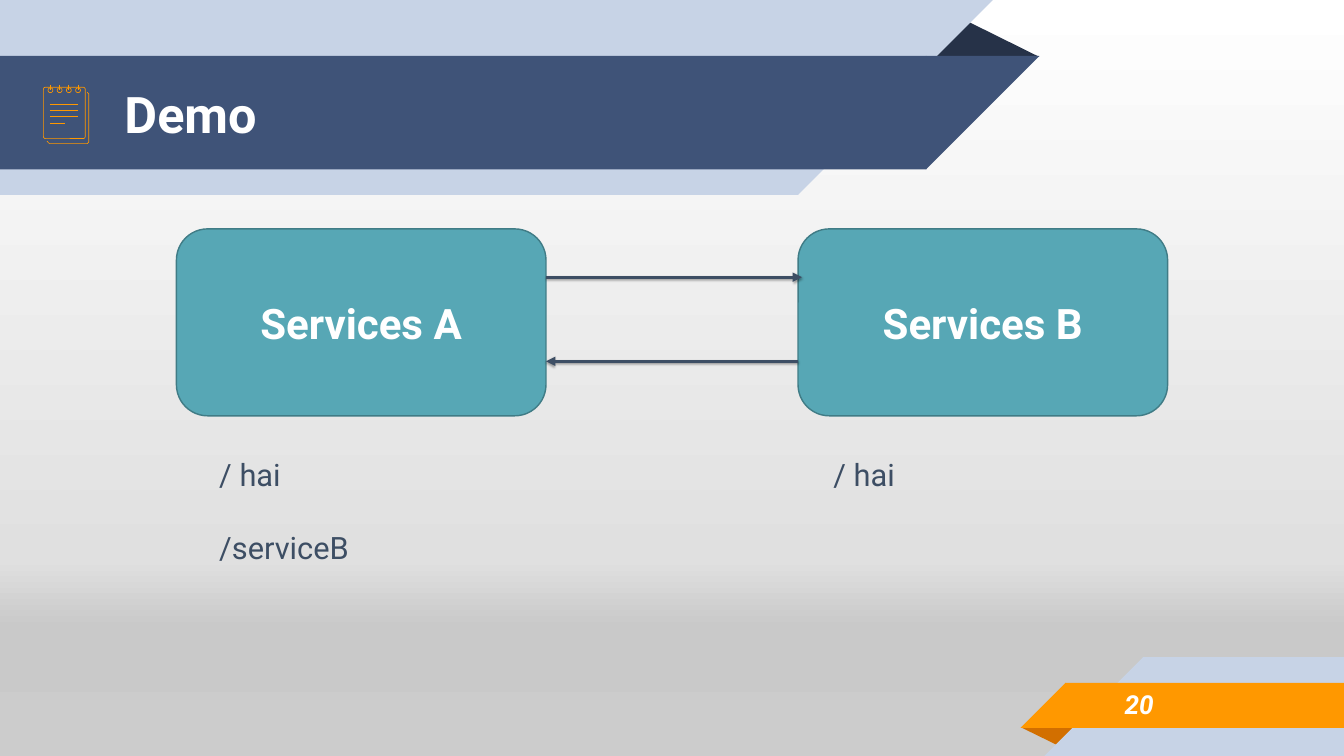
from dataclasses import dataclass
from lxml.etree import SubElement
from pptx import Presentation
from pptx.dml.color import RGBColor
from pptx.enum.shapes import MSO_CONNECTOR, MSO_SHAPE
from pptx.enum.text import MSO_ANCHOR, MSO_AUTO_SIZE, PP_ALIGN
from pptx.oxml.ns import qn
from pptx.util import Pt


@dataclass(frozen=True)
class Theme:
    font: str = "Roboto"
    white: str = "FFFFFF"
    navy: str = "3F5378"
    navy_fold: str = "263248"
    pale: str = "C7D3E6"
    orange: str = "FF9800"
    orange_fold: str = "D26F00"
    teal: str = "57A7B5"
    teal_line: str = "407C86"
    slate: str = "3D4E64"
    title: float = 72
    service: float = 60
    route: float = 44
    number: float = 37.3
    icon_line: float = 0.96
    arrow_line: float = 4.5


T = Theme()
WIDTH, HEIGHT = 1919.5, 1080
TITLE = "Demo"
PAGE = "20"
SERVICES = [
    ("Services A", 252, 306, ["/ hai", "/serviceB"], 220),
    ("Services B", 1139.8, 1183, ["/ hai"], 97),
]
BOX_TOP, BOX_W, BOX_H = 327, 527.8, 267
ARROWS = [(779.8, 1145.5, 396), (1139.8, 779.8, 516.2)]
BACKGROUND = [(0, "FFFFFF"), (74, "E0E0E0"), (83, "C9C9C9"), (100, "CCCCCC")]
HEADER_BANDS = [(0, 1140, 278.6, T.pale), (80, 1323, 162, T.navy)]
FOOTER_BANDS = [(1632.2, 938.9, 141.1, T.pale), (1521.4, 975.6, 64.1, T.orange)]
BACK_PAGE = [(67, 201.6), (70.6, 205.2), (124.6, 205.2),
             (126.7, 203), (126.7, 134), (124.6, 131.8)]


def rgb(value):
    return RGBColor.from_string(value)


def add_shape(s, kind, x, y, w, h, fill=None, line=None, width=1):
    sp = s.shapes.add_shape(kind, Pt(x), Pt(y), Pt(w), Pt(h))
    paint(sp, fill, line, width)
    return sp


def paint(sp, fill, line, width):
    sp.shadow.inherit = False
    if fill:
        sp.fill.solid()
        sp.fill.fore_color.rgb = rgb(fill)
    else:
        sp.fill.background()
    if line:
        sp.line.color.rgb = rgb(line)
        sp.line.width = Pt(width)
    else:
        sp.line.fill.background()


def add_line(s, x1, y1, x2, y2, color, width):
    cx = s.shapes.add_connector(MSO_CONNECTOR.STRAIGHT, Pt(x1), Pt(y1), Pt(x2), Pt(y2))
    cx.line.color.rgb = rgb(color)
    cx.line.width = Pt(width)
    effects = SubElement(cx.element.spPr, qn("a:effectLst"))
    return cx, effects


def write(sp, lines, size, color, align=PP_ALIGN.LEFT, spacing=None, **style):
    tf = sp.text_frame
    tf.word_wrap = True
    tf.text = "\n".join(lines)
    for p in tf.paragraphs:
        p.alignment = align
        if spacing:
            p.line_spacing = spacing
        for r in p.runs:
            r.font.name = T.font
            r.font.size = Pt(size)
            r.font.color.rgb = rgb(color)
            for name, value in style.items():
                setattr(r.font, name, value)
    return tf


def center_with_insets(tf):
    tf.vertical_anchor = MSO_ANCHOR.MIDDLE
    tf.margin_left = tf.margin_right = tf.margin_top = tf.margin_bottom = Pt(7.2)


def add_background(s):
    fill = s.background.fill
    fill.gradient()
    fill.gradient_angle = 270
    stops = s.element.find(".//" + qn("a:gsLst"))
    for gs in list(stops):
        stops.remove(gs)
    for pos, color in BACKGROUND:
        gs = SubElement(stops, qn("a:gs"), pos=str(pos * 1000))
        SubElement(gs, qn("a:srgbClr"), val=color)


def add_fold(s, x, y, w, h, color, rotation=0):
    sp = add_shape(s, MSO_SHAPE.ISOSCELES_TRIANGLE, x, y, w, h, color)
    sp.adjustments[0] = 0.324
    sp.rotation = rotation


def add_ribbons(s):
    add_fold(s, 1321, 26.6, 163.4, 54.7, T.navy_fold)
    for top, width, height, color in HEADER_BANDS:
        add_shape(s, MSO_SHAPE.RECTANGLE, 0, top, width, height, color)
        sp = add_shape(s, MSO_SHAPE.RIGHT_TRIANGLE, width - 0.5, top, height, height, color)
        sp.element.spPr.xfrm.set("flipV", "1")
    add_fold(s, 1458, 1039, 82.8, 27.4, T.orange_fold, 180)
    for left, top, height, color in FOOTER_BANDS:
        add_shape(s, MSO_SHAPE.RECTANGLE, left, top, WIDTH - left, height, color)
        sp = add_shape(s, MSO_SHAPE.RIGHT_TRIANGLE, left - height + 0.5, top,
                       height, height, color)
        sp.element.spPr.xfrm.set("flipH", "1")


def add_notebook(s):
    pen = (T.orange, T.icon_line)
    start, *rest = [(Pt(x), Pt(y)) for x, y in BACK_PAGE]
    builder = s.shapes.build_freeform(*start)
    builder.add_line_segments(rest, close=False)
    paint(builder.convert_to_shape(), None, *pen)
    page = add_shape(s, MSO_SHAPE.ROUNDED_RECTANGLE, 62, 124.6, 59.8, 73.4, None, *pen)
    page.adjustments[0] = 0.05
    for i in range(4):
        x, y = 72 + 13.15 * i, 149 + 8.9 * i
        add_shape(s, MSO_SHAPE.OVAL, x - 3.5, 125.4, 7, 7, None, *pen)
        add_line(s, x, 121, x, 128.9, *pen)
        add_line(s, 71.3, y, 92.2 if i == 3 else 111.6, y, *pen)


def add_arrow(s, x1, x2, y):
    cx, effects = add_line(s, x1, y, x2, y, T.slate, T.arrow_line)
    SubElement(cx.line._get_or_add_ln(), qn("a:tailEnd"), type="triangle")
    shadow = SubElement(effects, qn("a:outerShdw"), blurRad=str(Pt(3.1)),
                        dist=str(Pt(1.8)), dir="5400000", rotWithShape="0")
    color = SubElement(shadow, qn("a:srgbClr"), val="000000")
    SubElement(color, qn("a:alpha"), val="35000")


def add_services(s):
    for name, left, _, _, _ in SERVICES:
        sp = add_shape(s, MSO_SHAPE.ROUNDED_RECTANGLE, left, BOX_TOP, BOX_W, BOX_H,
                       T.teal, T.teal_line, 2)
        tf = write(sp, [name], T.service, T.white, PP_ALIGN.CENTER, bold=True)
        tf.vertical_anchor = MSO_ANCHOR.MIDDLE
    for arrow in ARROWS:
        add_arrow(s, *arrow)
    for _, _, left, routes, height in SERVICES:
        sp = s.shapes.add_textbox(Pt(left), Pt(BOX_TOP + BOX_H), Pt(441.4), Pt(height))
        tf = write(sp, routes, T.route, T.slate, spacing=2.0)
        tf.auto_size = MSO_AUTO_SIZE.SHAPE_TO_FIT_TEXT


def main():
    prs = Presentation()
    prs.slide_width, prs.slide_height = Pt(WIDTH), Pt(HEIGHT)
    s = prs.slides.add_slide(prs.slide_layouts[5])
    add_background(s)
    add_ribbons(s)
    add_notebook(s)
    title = s.shapes.title
    title.left, title.top, title.width, title.height = Pt(170.6), Pt(82), Pt(1152.7), Pt(160.6)
    s.shapes._spTree.append(title.element)
    center_with_insets(write(title, [TITLE], T.title, T.white, bold=True))
    add_services(s)
    number = s.shapes.add_textbox(Pt(1599), Pt(973.4), Pt(312.5), Pt(66.2))
    center_with_insets(write(number, [PAGE], T.number, T.white, bold=True, italic=True))
    prs.save("out.pptx")


if __name__ == "__main__":
    main()
